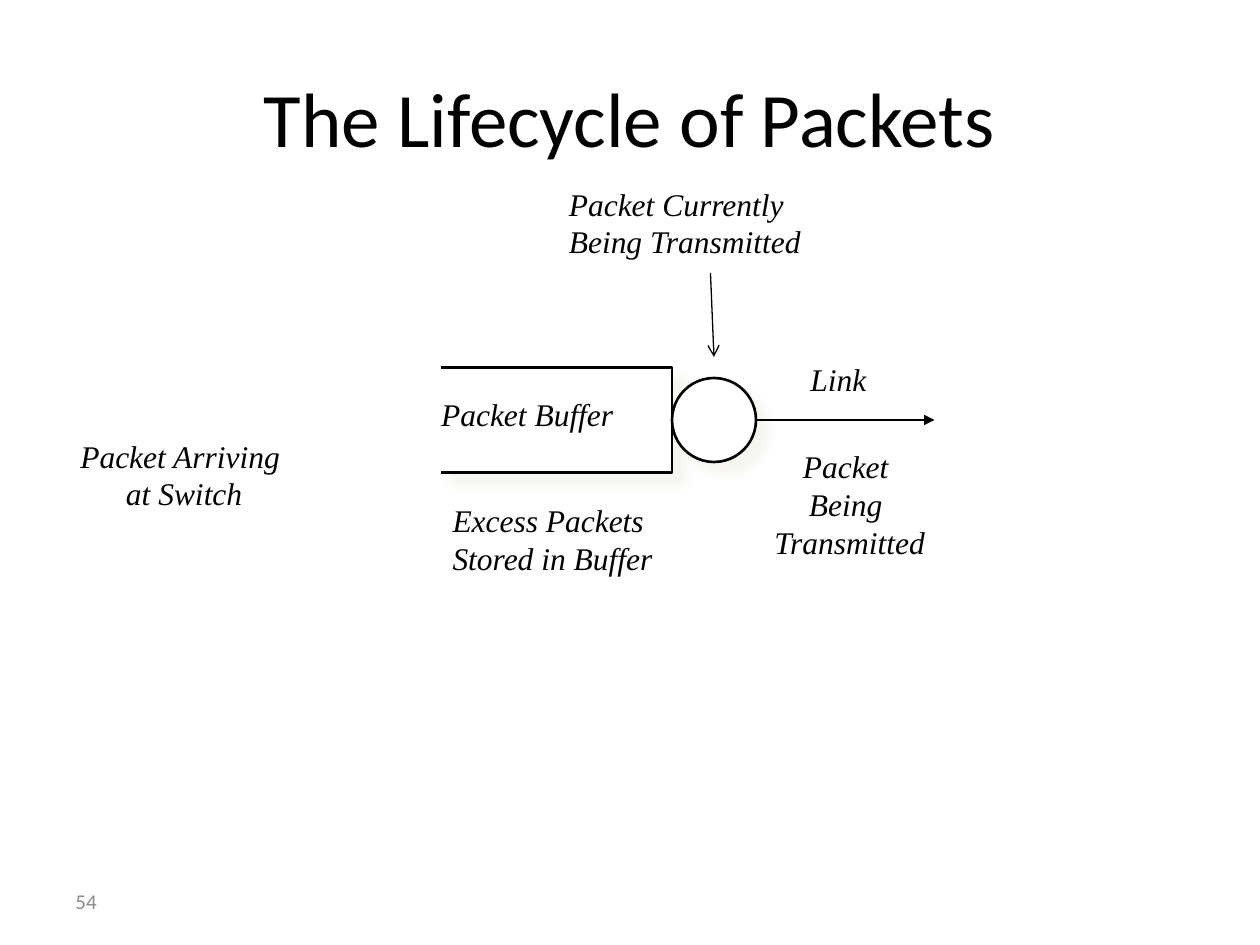
from lxml import etree
from pptx import Presentation
from pptx.dml.color import RGBColor
from pptx.enum.shapes import MSO_CONNECTOR, MSO_SHAPE
from pptx.enum.text import MSO_ANCHOR, MSO_AUTO_SIZE, PP_ALIGN
from pptx.oxml.ns import qn
from pptx.util import Pt

LEFT, CENTER = PP_ALIGN.LEFT, PP_ALIGN.CENTER
TOP, MIDDLE = MSO_ANCHOR.TOP, MSO_ANCHOR.MIDDLE
FIT_SHAPE, NO_FIT = MSO_AUTO_SIZE.SHAPE_TO_FIT_TEXT, MSO_AUTO_SIZE.NONE
STRAIGHT = MSO_CONNECTOR.STRAIGHT
ELLIPSE = MSO_SHAPE.OVAL

COLORS = {"ink": "000000", "paper": "FFFFFF", "number": "8C8C8C", "shadow": "EEECE1"}


def color(name):
    return RGBColor.from_string(COLORS[name])


def add_text(slide, box, text, size=18, font="Times New Roman", ink="ink", italic=False,
             align=LEFT, anchor=TOP, wrap=False):
    """Place text in a box (left, top, width, height); each line is a paragraph."""
    shape = slide.shapes.add_textbox(*map(Pt, box))
    frame = shape.text_frame
    frame.word_wrap = wrap
    frame.auto_size = NO_FIT if wrap else FIT_SHAPE
    frame.vertical_anchor = anchor
    frame.text = text
    for paragraph in frame.paragraphs:
        paragraph.alignment = align
        for run in paragraph.runs:
            run.font.size = Pt(size)
            run.font.name = font
            run.font.italic = italic
            run.font.color.rgb = color(ink)


def style_outline(shape):
    """White fill, black outline and a soft shadow to the lower right."""
    shape.fill.solid()
    shape.fill.fore_color.rgb = color("paper")
    shape.line.color.rgb = color("ink")
    shape.line.width = Pt(1.5)
    shape.shadow.inherit = False
    effects = shape._element.spPr.find(qn("a:effectLst"))
    shadow = etree.SubElement(effects, qn("a:outerShdw"), blurRad=str(Pt(5)),
                              dist=str(Pt(8.5)), dir=str(45 * 60000),
                              algn="ctr", rotWithShape="0")
    tint = etree.SubElement(shadow, qn("a:srgbClr"), val=COLORS["shadow"])
    etree.SubElement(tint, qn("a:alpha"), val="50000")


def add_arrow(slide, start, end, head):
    connector = slide.shapes.add_connector(STRAIGHT, *map(Pt, (*start, *end)))
    connector.line.color.rgb = color("ink")
    connector.line.width = Pt(0.75)
    properties = connector._element.spPr
    line = properties.find(qn("a:ln"))
    etree.SubElement(line, qn("a:tailEnd"), type=head)
    etree.SubElement(properties, qn("a:effectLst"))


def add_queue(slide, left, top, width, height):
    """Open-ended buffer, the transmitter circle touching it, and the link."""
    right, middle = left + width, top + height / 2
    builder = slide.shapes.build_freeform(Pt(left), Pt(top))
    corners = [(right, top), (right, top + height), (left, top + height)]
    builder.add_line_segments([(Pt(x), Pt(y)) for x, y in corners], close=False)
    style_outline(builder.convert_to_shape())

    diameter = height * 0.8
    circle_top = middle - diameter / 2
    circle = slide.shapes.add_shape(
        ELLIPSE, Pt(right), Pt(circle_top), Pt(diameter), Pt(diameter))
    style_outline(circle)

    # Outgoing link, and pointer down to the packet in the transmitter
    link_start = right + diameter
    add_arrow(slide, (link_start, middle), (link_start + 102, middle), "triangle")
    circle_center = right + diameter / 2
    add_arrow(slide, (circle_center - 2, top - 54),
              (circle_center, circle_top - 12), "arrow")


def add_labels(slide, left, top):
    """Captions, offset from the buffer's top left corner."""
    labels = [
        ("Excess Packets\nStored in Buffer", (-0.5, 73, 157, 55.5), LEFT),
        ("Packet Arriving \nat Switch", (-223, 36, 152.5, 55.5), CENTER),
        ("Packet\nBeing\n Transmitted", (168, 42, 126.5, 80), CENTER),
        ("Packet Buffer", (-7, 12, 137, 32), LEFT),
        ("Link", (204, -8, 60.5, 32), LEFT),
        ("Packet Currently\nBeing Transmitted", (66, -108, 175.5, 55.5), LEFT),
    ]
    for text, (x, y, width, height), align in labels:
        add_text(slide, (left + x, top + y, width, height), text,
                 italic=True, align=align)


def main():
    presentation = Presentation()
    presentation.slide_width, presentation.slide_height = Pt(720), Pt(540)
    slide = presentation.slides.add_slide(presentation.slide_layouts[6])

    # Title
    add_text(slide, (36, 21.6, 648, 90), "The Lifecycle of Packets", size=44,
             font="Calibri", align=CENTER, anchor=MIDDLE, wrap=True)

    # Packet diagram
    add_queue(slide, 252, 210, 132, 60)
    add_labels(slide, 252, 210)

    # Slide number
    add_text(slide, (36, 500.5, 168, 28.75), "54", size=12, font="Calibri",
             ink="number", anchor=MIDDLE, wrap=True)

    presentation.save("out.pptx")


if __name__ == "__main__":
    main()
